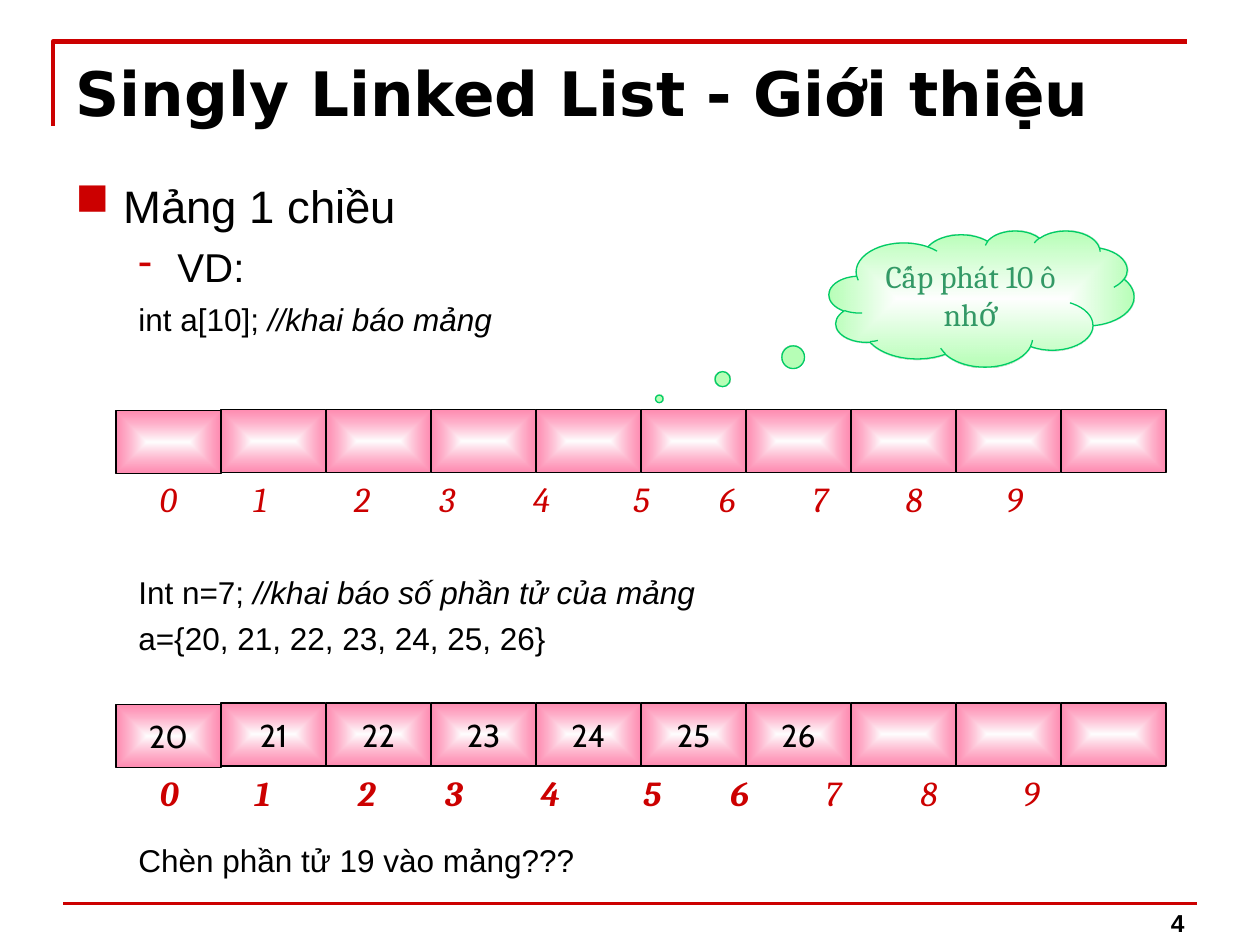
import itertools
import lxml.etree
import pptx
import pptx.dml.color
import pptx.enum.shapes
import pptx.enum.text
import pptx.oxml
import pptx.oxml.ns
import pptx.util

Inches, Pt = pptx.util.Inches, pptx.util.Pt
Shape = pptx.enum.shapes.MSO_SHAPE
Align = pptx.enum.text.PP_ALIGN
Anchor = pptx.enum.text.MSO_ANCHOR
NS = 'xmlns:a="http://schemas.openxmlformats.org/drawingml/2006/main"'

RED, BLACK = "CC0000", "000000"
COUNT = 10                           # cells in the array
LEFT, CELL, TALL = 0.92, 5 / 6, 0.5  # grid of cells, in inches
GAPS = (10, 11, 9, 10, 11, 9, 10, 10, 11)  # spacing units between indices


def color(code):
    return pptx.dml.color.RGBColor.from_string(code)


def style(run, size, face, code=BLACK, bold=False, slant=False):
    font = run.font
    font.size, font.name = Pt(size), face
    font.bold, font.italic = bold, slant
    font.color.rgb = color(code)


def add(para, text, *look, **more):
    run = para.add_run()
    run.text = text
    style(run, *look, **more)


def box(slide, left, top, width, height):
    shape = slide.shapes.add_textbox(*map(Inches, (left, top, width, height)))
    shape.text_frame.word_wrap = True
    return shape.text_frame


def glow(shape, inner, outer, path):
    """Fill that fades from clear in the middle to the outer colour."""
    shape.shadow.inherit = False
    shape.fill.background()
    props = shape._element.spPr
    old = props.find(pptx.oxml.ns.qn("a:noFill"))
    props.replace(old, pptx.oxml.parse_xml(
        f'<a:gradFill {NS} rotWithShape="1"><a:gsLst>'
        f'<a:gs pos="0"><a:srgbClr val="{inner}"><a:alpha val="0"/></a:srgbClr></a:gs>'
        f'<a:gs pos="100000"><a:srgbClr val="{outer}"/></a:gs></a:gsLst>'
        f'<a:path path="{path}"><a:fillToRect l="50000" t="50000" r="50000" b="50000"/>'
        '</a:path></a:gradFill>'))


def outline(shape, code, width):
    shape.line.color.rgb = color(code)
    shape.line.width = Pt(width)


def frame(slide):
    # Corner rule above the title
    form = slide.shapes.build_freeform(Inches(0.42), Inches(1))
    form.add_line_segments([(Inches(0.42), Inches(0.33)),
                            (Inches(9.42), Inches(0.33))], close=False)
    rule = form.convert_to_shape()
    rule.shadow.inherit = False
    rule.fill.background()
    outline(rule, RED, 2.5)
    # Rule above the page number
    foot = slide.shapes.add_connector(
        pptx.enum.shapes.MSO_CONNECTOR.STRAIGHT,
        *map(Inches, (0.5, 7.17, 9.5, 7.17)))
    outline(foot, RED, 2)
    lxml.etree.SubElement(foot._element.spPr, pptx.oxml.ns.qn("a:effectLst"))
    # Page number
    page = box(slide, 7.17, 6.99, 2.33, 0.5)
    page.vertical_anchor = Anchor.BOTTOM
    page.paragraphs[0].alignment = Align.RIGHT
    add(page.paragraphs[0], "4", 14, "Arial", bold=True)


def title(slide, text):
    head = slide.shapes.title
    head.left, head.top, head.width, head.height = map(Inches, (0.5, 0.39, 9, 0.86))
    head.text_frame.text = text
    head.text_frame.vertical_anchor = Anchor.TOP
    para = head.text_frame.paragraphs[0]
    para.alignment = Align.LEFT
    style(para.runs[0], 35, "DejaVu Sans", bold=True)


def body(slide):
    # Level, mark, size, space before, plain text, slanted text
    lines = (
        (0, "■", 26, 0, "Mảng 1 chiều", ""),
        (1, "-", 23, 6, "VD: ", ""),
        (1, "", 18, 5, "int a[10]; ", "//khai báo mảng"),
        (1, "", 18, 134.5, "Int n=7; ", "//khai báo số phần tử của mảng"),
        (1, "", 18, 5, "a={20, 21, 22, 23, 24, 25, 26}", ""),
        (1, "", 18, 105, "Chèn phần tử 19 vào mảng???", ""),
    )
    text = box(slide, 0.5, 1.33, 9, 5.75)
    text.margin_top = Inches(0.08)
    for row, (level, mark, size, space, plain, slant) in enumerate(lines):
        para = text.add_paragraph() if row else text.paragraphs[0]
        props = para._p.get_or_add_pPr()
        margin, indent = ((0.38, -0.38), (0.81, -0.31))[level]
        props.set("marL", str(Inches(margin)))
        props.set("indent", str(Inches(indent)))
        if mark:
            props.append(pptx.oxml.parse_xml(
                f'<a:buClr {NS}><a:srgbClr val="{RED}"/></a:buClr>'))
            props.append(pptx.oxml.parse_xml(f'<a:buChar {NS} char="{mark}"/>'))
        para.level = level
        para.alignment = Align.JUSTIFY
        para.space_before = Pt(space)
        add(para, plain, size, "Arial")
        if slant:
            add(para, slant, size, "Arial", slant=True)


def cloud(slide, text):
    shape = slide.shapes.add_shape(
        Shape.CLOUD_CALLOUT, *map(Inches, (6.58, 1.83, 2.42, 1.08)))
    shape.adjustments[0], shape.adjustments[1] = -1.057, 0.737
    glow(shape, "B3FFB3", "B7FFB7", "rect")
    outline(shape, "00CC66", 0.75)
    shape.text_frame.vertical_anchor = Anchor.TOP
    para = shape.text_frame.paragraphs[0]
    para.alignment = Align.CENTER
    add(para, text, 18, "Cambria", "339966")


def cells(slide, top, values=()):
    for col, value in itertools.zip_longest(range(COUNT), values):
        drop = 0 if col else 0.01  # the first cell sits a little lower
        shape = slide.shapes.add_shape(Shape.RECTANGLE, *map(
            Inches, (LEFT + col * CELL, top + drop, CELL, TALL)))
        glow(shape, "FF6699", "FF8BB1", "shape")
        outline(shape, BLACK, 0.75)
        if value is not None:
            text = shape.text_frame
            text.word_wrap = False
            text.vertical_anchor = Anchor.MIDDLE
            text.paragraphs[0].alignment = Align.CENTER
            add(text.paragraphs[0], str(value), 18, "Cabin")


def marks(slide, top, used=0, scale=1.0):
    """Index row on tab stops; the used indices are bold."""
    para = box(slide, 1.17, top, 7.91, 0.43).paragraphs[0]
    stops = itertools.accumulate(scale * (0.14 + 0.06 * gap) for gap in GAPS)
    tabs = "".join(f'<a:tab pos="{Inches(stop)}" algn="l"/>' for stop in stops)
    para._p.get_or_add_pPr().append(
        pptx.oxml.parse_xml(f"<a:tabLst {NS}>{tabs}</a:tabLst>"))
    for num in range(COUNT):
        add(para, f"\t{num}" if num else "0", 20, "Cambria", RED,
            bold=num < used, slant=True)


def main():
    deck = pptx.Presentation()
    deck.slide_width, deck.slide_height = Inches(10), Inches(7.5)
    slide = deck.slides.add_slide(deck.slide_layouts[5])
    frame(slide)
    title(slide, "Singly Linked List - Giới thiệu")
    body(slide)
    cloud(slide, "Cấp phát 10 ô nhớ")
    # Filled array below, empty array above
    values = range(20, 27)
    cells(slide, 5.58, values)
    cells(slide, 3.25)
    marks(slide, 3.74)
    marks(slide, 6.07, used=len(values), scale=1.02)
    deck.save("out.pptx")


if __name__ == "__main__":
    main()
